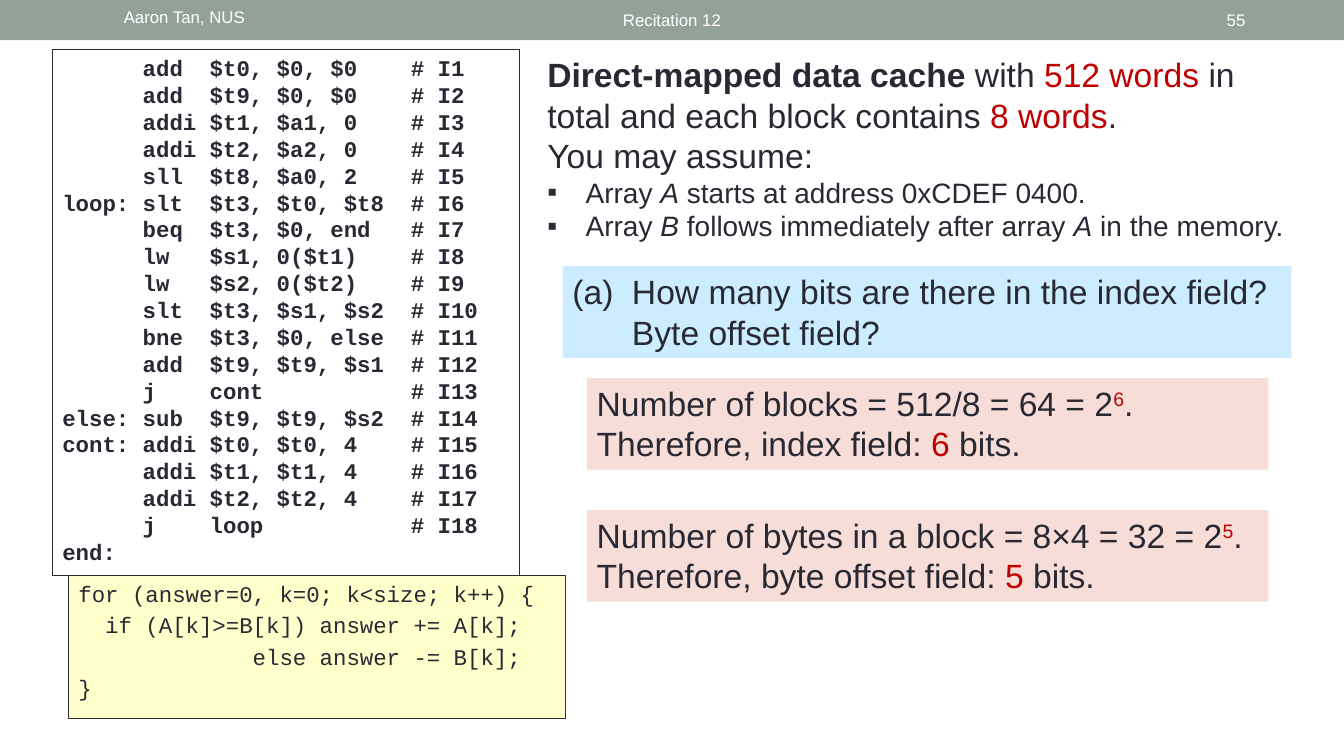
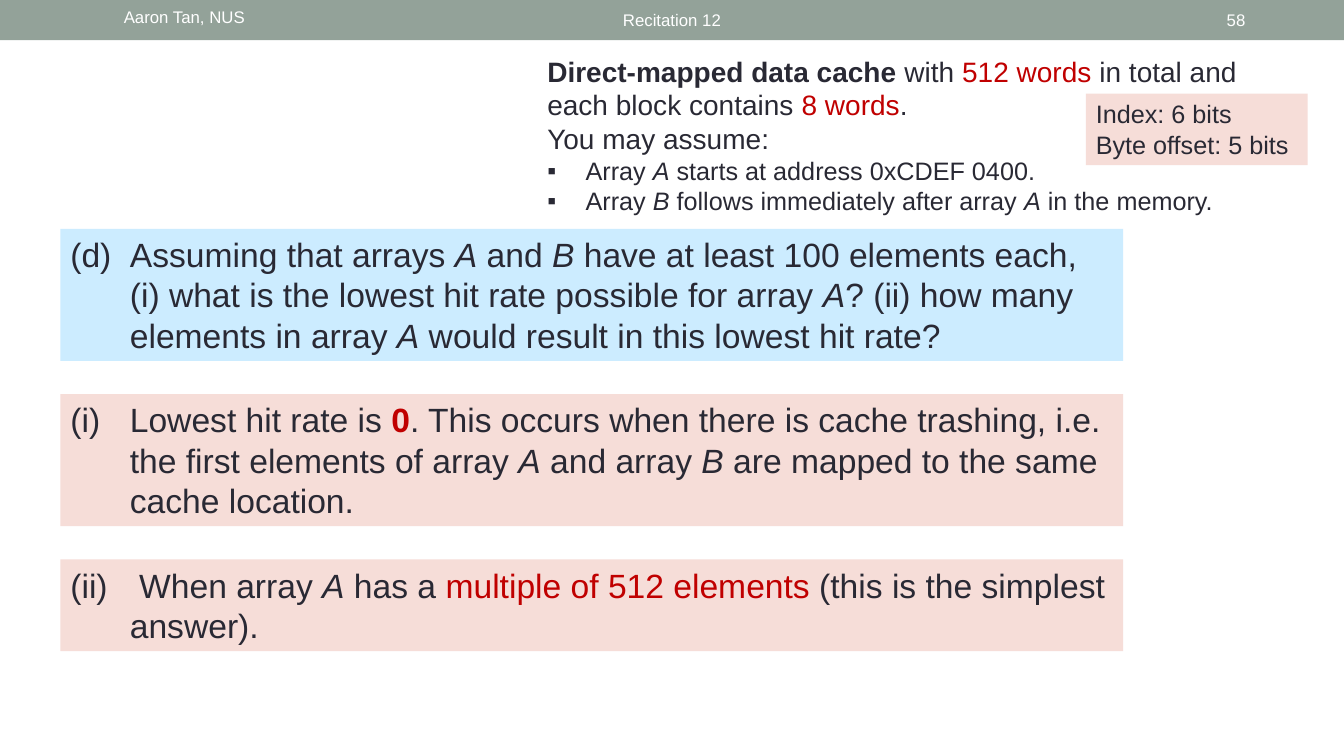
from lxml.etree import SubElement
from pptx import Presentation
from pptx.dml.color import RGBColor
from pptx.enum.shapes import MSO_SHAPE
from pptx.enum.text import MSO_ANCHOR, PP_ALIGN
from pptx.oxml.ns import qn
from pptx.util import Inches, Pt

COLORS = {
    "band": "93A299",
    "ink": "292934",
    "red": "C00000",
    "white": "FFFFFF",
    "question": "CCECFF",
    "answer": "F6DDD8",
    "source": "FFFFCC",
}
BODY_FONT = "Arial"
CODE_FONT = "Courier New"
LINE_HEIGHT = 1.2
BULLET_INDENT = 0.38
LABEL_INDENT = 0.59
A = ("A", "italic")
B = ("B", "italic")

ASSEMBLY = """\
      add  $t0, $0, $0    # I1
      add  $t9, $0, $0    # I2
      addi $t1, $a1, 0    # I3
      addi $t2, $a2, 0    # I4
      sll  $t8, $a0, 2    # I5
loop: slt  $t3, $t0, $t8  # I6
      beq  $t3, $0, end   # I7
      lw   $s1, 0($t1)    # I8
      lw   $s2, 0($t2)    # I9
      slt  $t3, $s1, $s2  # I10
      bne  $t3, $0, else  # I11
      add  $t9, $t9, $s1  # I12
      j    cont           # I13
else: sub  $t9, $t9, $s2  # I14
cont: addi $t0, $t0, 4    # I15
      addi $t1, $t1, 4    # I16
      addi $t2, $t2, 4    # I17
      j    loop           # I18
end:"""

LOOP_SOURCE = """\
for (answer=0, k=0; k<size; k++) {
  if (A[k]>=B[k]) answer += A[k];
             else answer -= B[k];
}"""


def rgb(name):
    return RGBColor.from_string(COLORS[name])


def add_panel(slide, at, fill=None, line=None):
    panel = slide.shapes.add_shape(MSO_SHAPE.RECTANGLE, *map(Inches, at))
    panel.shadow.inherit = False
    if fill:
        panel.fill.solid()
        panel.fill.fore_color.rgb = rgb(fill)
    else:
        panel.fill.background()
    if line:
        panel.line.color.rgb = rgb(line)
        panel.line.width = Pt(0.75)
    else:
        panel.line.fill.background()
    panel.text_frame.word_wrap = True
    panel.text_frame.vertical_anchor = MSO_ANCHOR.TOP
    return panel.text_frame


def add_textbox(slide, at):
    frame = slide.shapes.add_textbox(*map(Inches, at)).text_frame
    frame.word_wrap = True
    return frame


def style_run(run, size, color="ink", font=BODY_FONT, bold=False):
    run.font.name = font
    run.font.size = Pt(size)
    run.font.bold = bold
    run.font.color.rgb = rgb(color)


def hang(paragraph, indent, bullet=None):
    properties = paragraph._p.get_or_add_pPr()
    properties.set("marL", str(Inches(indent)))
    properties.set("indent", str(-Inches(indent)))
    if bullet:
        SubElement(properties, qn("a:buFont"), typeface=BODY_FONT)
        SubElement(properties, qn("a:buChar"), char=bullet)


def write(frame, paragraphs, size, indent=0, bullet=None):
    for parts in paragraphs:
        paragraph = frame.paragraphs[-1]
        if paragraph.runs:
            paragraph = frame.add_paragraph()
        if indent:
            hang(paragraph, indent, bullet)
        paragraph.alignment = PP_ALIGN.LEFT
        paragraph.line_spacing = Pt(size * LINE_HEIGHT)
        for part in parts:
            text, marks = (part, "") if isinstance(part, str) else part
            run = paragraph.add_run()
            run.text = text
            style_run(run, size, "red" if "red" in marks else "ink", bold="bold" in marks)
            run.font.italic = "italic" in marks
            if "super" in marks:
                run.font._element.set("baseline", "30000")


def add_code(slide, at, code, fill=None, bold=False, gap=0):
    frame = add_panel(slide, at, fill, "ink")
    frame.text = code
    for paragraph in frame.paragraphs:
        paragraph.alignment = PP_ALIGN.LEFT
        paragraph.line_spacing = Pt(16 * LINE_HEIGHT)
        paragraph.space_after = Pt(gap)
        for run in paragraph.runs:
            style_run(run, 16, font=CODE_FONT, bold=bold)


def add_header_text(slide, left, width, text, align, anchor=MSO_ANCHOR.MIDDLE):
    frame = add_textbox(slide, (left, 0.02, width, 0.36))
    frame.text = text
    frame.vertical_anchor = anchor
    frame.paragraphs[0].alignment = align
    style_run(frame.paragraphs[0].runs[0], 12, "white")


def add_base(deck, number):
    slide = deck.slides.add_slide(deck.slide_layouts[6])
    add_panel(slide, (0, 0, 13.33, 0.4), "band")
    add_header_text(slide, 3.02, 7.29, "Recitation 12", PP_ALIGN.CENTER)
    add_header_text(slide, 1.13, 3.17, "Aaron Tan, NUS", PP_ALIGN.LEFT, MSO_ANCHOR.TOP)
    add_header_text(slide, 11.5, 0.95, str(number), PP_ALIGN.RIGHT)
    return slide


def add_assumptions(slide, height, size, bullet_size):
    frame = add_textbox(slide, (5.33, 0.49, 7.63, height))
    write(frame, [
        [("Direct-mapped data cache ", "bold"), "with ", ("512 words ", "red"),
         "in total and each block contains ", ("8 words", "red"), "."],
        ["You may assume:"],
    ], size)
    write(frame, [
        ["Array ", A, " starts at address 0xCDEF 0400."],
        ["Array ", B, " follows immediately after array ", A, " in the memory."],
    ], bullet_size, BULLET_INDENT, "▪")


def add_note(slide, at, fill, paragraphs, size=24, indent=0):
    write(add_panel(slide, at, fill), paragraphs, size, indent)


def add_field_slide(deck):
    slide = add_base(deck, 55)
    add_code(slide, (0.52, 0.49, 4.63, 5.22), ASSEMBLY, bold=True)
    add_assumptions(slide, 1.99, 24, 20)
    add_code(slide, (0.68, 5.71, 4.93, 1.42), LOOP_SOURCE, "source", gap=3)
    add_note(slide, (5.58, 2.64, 7.23, 0.91), "question", [
        ["(a)\tHow many bits are there in the index field? Byte offset field?"],
    ], indent=LABEL_INDENT)
    answers = [
        (3.75, "Number of blocks = 512/8 = 64 = 2", "index", "6"),
        (5.06, "Number of bytes in a block = 8×4 = 32 = 2", "byte offset", "5"),
    ]
    for top, working, field, bits in answers:
        add_note(slide, (5.82, top, 6.76, 0.91), "answer", [
            [working, (bits, "red super"), "."],
            [f"Therefore, {field} field: ", (bits, "red"), " bits."],
        ])


def add_hit_rate_slide(deck):
    slide = add_base(deck, 58)
    add_assumptions(slide, 1.78, 20, 18)
    add_note(slide, (10.77, 0.93, 2.2, 0.71), "answer",
             [["Index: 6 bits"], ["Byte offset: 5 bits"]], 18)
    notes = [
        (2.27, 1.31, "question", [
            "(d)\tAssuming that arrays ", A, " and ", B,
            " have at least 100 elements each, (i) what is the lowest hit rate"
            " possible for array ", A, "? (ii) how many elements in array ", A,
            " would result in this lowest hit rate?"]),
        (3.91, 1.31, "answer", [
            "(i)\tLowest hit rate is ", ("0", "red bold"),
            ". This occurs when there is cache trashing, i.e. the first elements of array ",
            A, " and array ", B, " are mapped to the same cache location."]),
        (5.55, 0.91, "answer", [
            "(ii)\t When array ", A, " has a ", ("multiple of 512 elements ", "red"),
            "(this is the simplest answer)."]),
    ]
    for top, height, fill, parts in notes:
        add_note(slide, (0.6, top, 10.54, height), fill, [parts], indent=LABEL_INDENT)


def main():
    deck = Presentation()
    deck.slide_width = Inches(13.33)
    deck.slide_height = Inches(7.5)
    add_field_slide(deck)
    add_hit_rate_slide(deck)
    deck.save("out.pptx")


if __name__ == "__main__":
    main()
